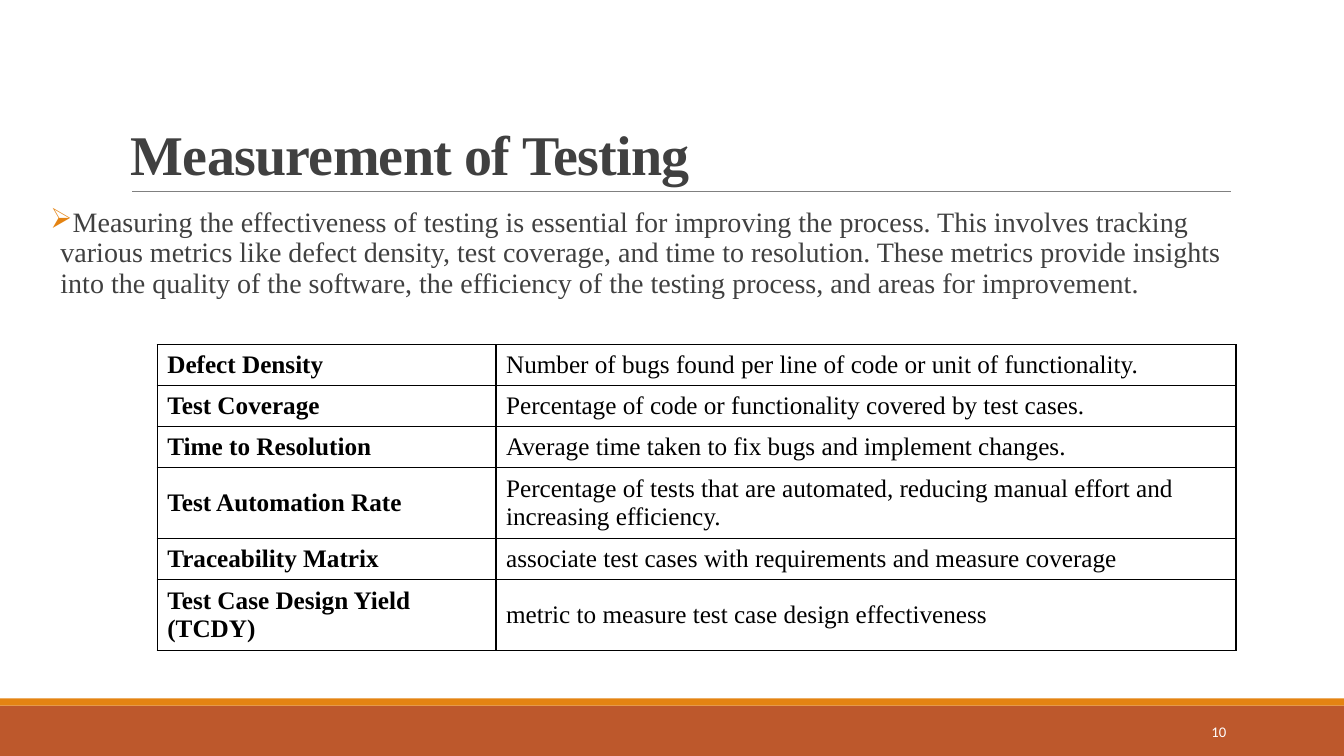
import pptx
import pptx.dml.color
import pptx.enum.shapes
import pptx.enum.text
import pptx.oxml
import pptx.oxml.ns
import pptx.util
from lxml import etree

PX = 9144  # EMU in one px, at 100 px to the inch
RGB = pptx.dml.color.RGBColor
ALIGN = pptx.enum.text.PP_ALIGN
ANCHOR = pptx.enum.text.MSO_ANCHOR

RUST = RGB(0xBD, 0x58, 0x2C)
ORANGE = RGB(0xE4, 0x83, 0x12)
GREY = RGB(0x80, 0x80, 0x80)
CHARCOAL = RGB(0x40, 0x40, 0x40)
BLACK = RGB(0, 0, 0)
WHITE = RGB(0xFF, 0xFF, 0xFF)

SERIF = "Times New Roman"
SANS = "Calibri"

INTRO = (
    "Measuring the effectiveness of testing is essential for improving the process. "
    "This involves tracking various metrics like defect density, test coverage, and "
    "time to resolution. These metrics provide insights into the quality of the "
    "software, the efficiency of the testing process, and areas for improvement."
)
METRICS = [
    ("Defect Density", "Number of bugs found per line of code or unit of functionality."),
    ("Test Coverage", "Percentage of code or functionality covered by test cases."),
    ("Time to Resolution", "Average time taken to fix bugs and implement changes."),
    ("Test Automation Rate",
     "Percentage of tests that are automated, reducing manual effort and increasing efficiency."),
    ("Traceability Matrix", "associate test cases with requirements and measure coverage"),
    ("Test Case Design Yield (TCDY)", "metric to measure test case design effectiveness"),
]
COLUMN_WIDTHS = [336, 734]
ROW_HEIGHTS = [38, 41, 41, 65, 41, 65]


def px(*lengths):
    return [pptx.util.Emu(length * PX) for length in lengths]


def add_child(parent, tag, **attributes):
    return etree.SubElement(parent, pptx.oxml.ns.qn(tag), attributes)


def write(frame, text, *, size, color, font=SERIF, bold=False, align=ALIGN.LEFT,
          line_spacing=None, tracking=None, bullet_color=None):
    """Put one formatted paragraph into a text frame; tracking is in 1/100 pt."""
    para = frame.paragraphs[0]
    para.alignment = align
    if line_spacing:
        para.line_spacing = line_spacing
    if bullet_color is not None:
        add_bullet(para, bullet_color)
    span = para.add_run()
    span.text = text
    span.font.name = font
    span.font.size = pptx.util.Pt(size)
    span.font.bold = bold
    span.font.color.rgb = color
    if tracking:
        span.font._element.set("spc", str(tracking))


def add_bullet(para, color):
    properties = para._p.get_or_add_pPr()
    properties.set("marL", str(10 * PX))
    properties.set("indent", str(-10 * PX))
    add_child(add_child(properties, "a:buClr"), "a:srgbClr", val=str(color))
    add_child(properties, "a:buChar", char="➢")


def add_text(page, bounds, text, *, anchor=ANCHOR.TOP, side_inset=10, **style):
    box = page.shapes.add_textbox(*px(*bounds))
    frame = box.text_frame
    frame.word_wrap = True
    frame.vertical_anchor = anchor
    frame.margin_left, frame.margin_right = px(side_inset, side_inset)
    frame.margin_top, frame.margin_bottom = px(5, 5)
    write(frame, text, **style)


def add_band(page, bounds, color):
    band = page.shapes.add_shape(pptx.enum.shapes.MSO_SHAPE.RECTANGLE, *px(*bounds))
    band.shadow.inherit = False
    band.fill.solid()
    band.fill.fore_color.rgb = color
    band.line.fill.background()


def add_rule(page, ends, color):
    rule = page.shapes.add_connector(pptx.enum.shapes.MSO_CONNECTOR.STRAIGHT, *px(*ends))
    rule.line.color.rgb = color
    rule.line.width = pptx.util.Pt(0.5)
    add_child(rule._element.spPr, "a:effectLst")


def add_borders(cell, color):
    properties = cell._tc.get_or_add_tcPr()
    for side in ("a:lnL", "a:lnR", "a:lnT", "a:lnB"):
        border = add_child(properties, side, w=str(pptx.util.Pt(1)))
        add_child(add_child(border, "a:solidFill"), "a:srgbClr", val=str(color))


def add_metrics_table(page, left, top):
    bounds = px(left, top, sum(COLUMN_WIDTHS), sum(ROW_HEIGHTS))
    table = page.shapes.add_table(len(METRICS), len(COLUMN_WIDTHS), *bounds).table
    table.first_row = False
    table.horz_banding = False
    for column, width in zip(table.columns, px(*COLUMN_WIDTHS)):
        column.width = width
    for row, height, texts in zip(table.rows, px(*ROW_HEIGHTS), METRICS):
        row.height = height
        for index, (cell, text) in enumerate(zip(row.cells, texts)):
            add_borders(cell, BLACK)
            cell.fill.background()
            cell.vertical_anchor = ANCHOR.MIDDLE
            write(cell.text_frame, text, size=18, color=BLACK, bold=index == 0)


def main():
    deck = pptx.Presentation()
    deck.slide_width, deck.slide_height = px(1333, 750)
    page = deck.slides.add_slide(deck.slide_layouts[6])

    add_band(page, (0, 700, 1333, 50), RUST)
    add_band(page, (0, 693, 1333, 7), ORANGE)
    add_rule(page, (131, 190, 1221, 190), GREY)
    add_text(page, (120, 31, 1100, 159), "Measurement of Testing", anchor=ANCHOR.BOTTOM,
             size=40, color=CHARCOAL, bold=True, line_spacing=0.85, tracking=-50)
    add_text(page, (50, 202, 1170, 440), INTRO, side_inset=0, size=20, color=CHARCOAL,
             line_spacing=0.9, bullet_color=ORANGE)
    add_metrics_table(page, 156, 342)
    add_text(page, (1083, 706, 143, 40), "10", anchor=ANCHOR.MIDDLE, size=10.5,
             color=WHITE, font=SANS, align=ALIGN.RIGHT)
    deck.save("out.pptx")


if __name__ == "__main__":
    main()
